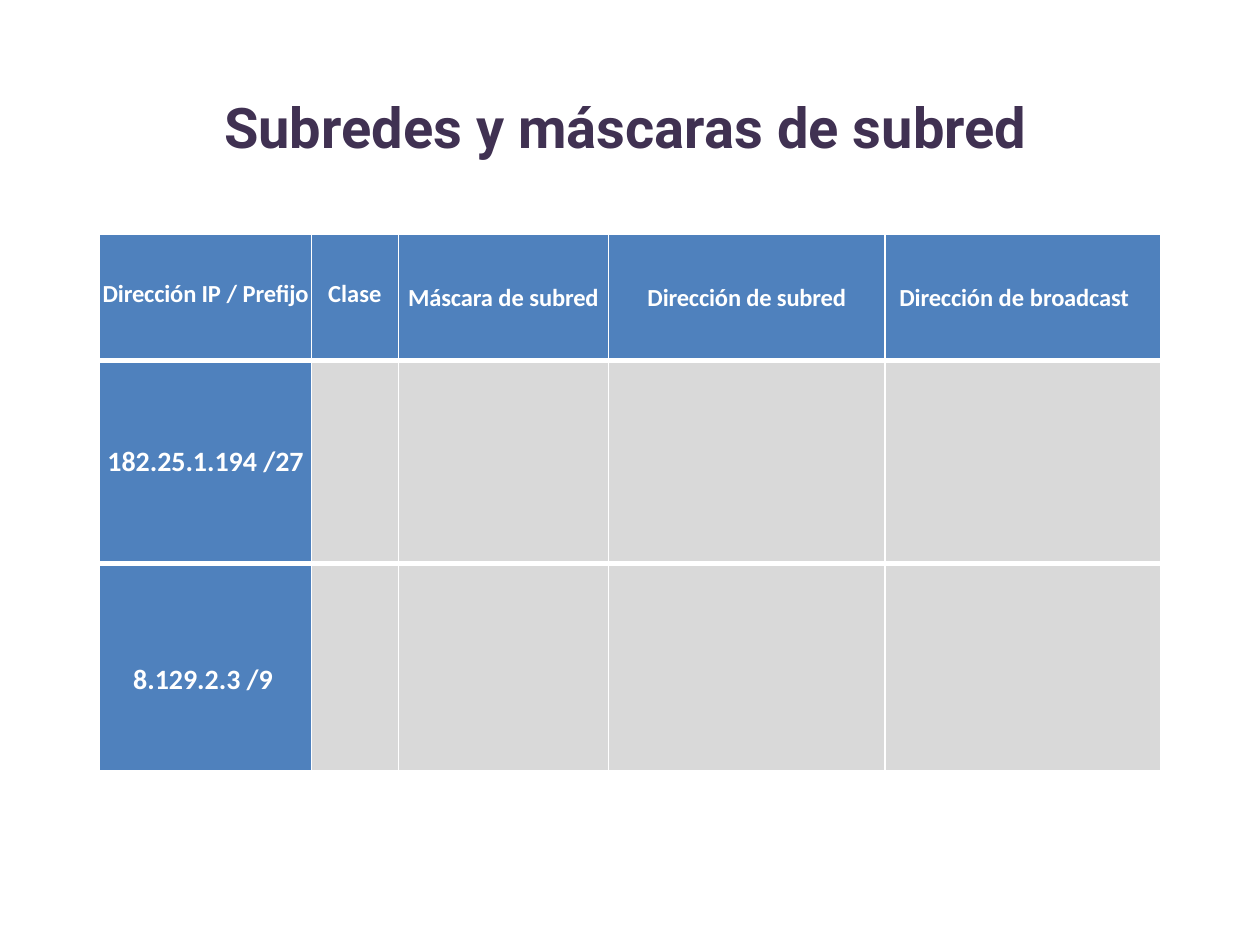
import lxml.etree
import pptx
import pptx.dml.color
import pptx.enum.text
import pptx.oxml.ns
import pptx.util
from pptx.util import Cm

BLUE, GREY, WHITE, PURPLE = "4F81BD", "D9D9D9", "FFFFFF", "403152"
MIDDLE = pptx.enum.text.MSO_ANCHOR.MIDDLE
CENTER = pptx.enum.text.PP_ALIGN.CENTER


def colour(value):
    return pptx.dml.color.RGBColor.from_string(value)


class SlideBuilder:
    """Holds the text style and the slide being built."""

    def __init__(self, page, font="Calibri"):
        self.page = page
        self.font = font

    def add_span(self, para, text, size, shade=WHITE, font=None, spacing=0):
        span = para.add_run()
        span.text = text
        span.font.name = font or self.font
        span.font.size = pptx.util.Pt(size)
        span.font.bold = True
        span.font.color.rgb = colour(shade)
        if spacing:
            span.font._element.set("spc", str(spacing))

    def add_title(self, text, left, top, width, height, indent):
        box = self.page.shapes.add_textbox(left, top, width, height)
        frame = box.text_frame
        frame.word_wrap = True
        frame.vertical_anchor = MIDDLE
        frame.margin_left = indent
        frame.margin_top = Cm(0.53)
        frame.margin_right = frame.margin_bottom = 0
        self.add_span(frame.paragraphs[0], text, 32, PURPLE, "Roboto")

    def add_grid(self, left, top, widths, heights):
        frame = self.page.shapes.add_table(
            len(heights), len(widths), left, top, sum(widths), sum(heights))
        table = frame.table
        table.horz_banding = False
        for column, width in zip(table.columns, widths):
            column.width = width
        for row, height in zip(table.rows, heights):
            row.height = height
        last = len(heights) - 1
        for r in range(len(heights)):
            for c in range(len(widths)):
                cell = table.cell(r, c)
                self.add_borders(cell, {"L": 1, "R": 1, "T": 3 if r else 1,
                                        "B": 3 if r < last else 1})
                cell.fill.solid()
                cell.fill.fore_color.rgb = colour(
                    BLUE if r == 0 or c == 0 else GREY)
                cell.vertical_anchor = MIDDLE
                cell.margin_left = cell.margin_right = 0
                cell.margin_top = cell.margin_bottom = 0
        return table

    def add_borders(self, cell, sides):
        properties = cell._tc.get_or_add_tcPr()
        qn = pptx.oxml.ns.qn
        for side, points in sides.items():
            line = lxml.etree.SubElement(properties, qn("a:ln" + side),
                                         w=str(pptx.util.Pt(points)))
            fill = lxml.etree.SubElement(line, qn("a:solidFill"))
            lxml.etree.SubElement(fill, qn("a:srgbClr"), val=WHITE)

    def fill_cell(self, cell, spans, size, line_height=None):
        para = cell.text_frame.paragraphs[0]
        para.alignment = CENTER
        if line_height:
            para.line_spacing = pptx.util.Pt(line_height)
        for text, spacing in spans:
            self.add_span(para, text, size, spacing=spacing)


def main():
    deck = pptx.Presentation()
    deck.slide_width, deck.slide_height = Cm(25.4), Cm(19.05)
    page = deck.slides.add_slide(deck.slide_layouts[6])
    builder = SlideBuilder(page)

    # Title
    builder.add_title("Subredes y máscaras de subred",
                      Cm(1.7), Cm(1.32), Cm(21.69), Cm(1.9), Cm(2.82))

    # Table grid
    table = builder.add_grid(Cm(2.01), Cm(4.73),
                             [Cm(w) for w in (4.27, 1.75, 4.24, 5.57, 5.57)],
                             [Cm(h) for h in (2.54, 4.09, 4.17)])

    # Header row: runs with their letter spacing, then the line height
    headers = [
        ([("Dirección IP", -10), (" / ", 0), ("Prefijo", -10)], 13.3),
        ([("Clase", 0)], 13.3),
        ([("Máscara ", -10), ("de ", 0), ("subred", -10)], None),
        ([("Dirección de subred", -10)], None),
        ([("Dirección", -10), (" de b", 0), ("roadcast", -10)], None),
    ]
    for column, (spans, line_height) in enumerate(headers):
        builder.fill_cell(table.cell(0, column), spans, 14, line_height)
    table.cell(0, 4).margin_right = Cm(0.36)

    # Addresses to solve
    for row, address in enumerate(("182.25.1.194 /27", "8.129.2.3 /9"), 1):
        builder.fill_cell(table.cell(row, 0), [(address, 0)], 16)
    table.cell(2, 0).margin_top = Cm(0.52)
    table.cell(2, 0).margin_right = Cm(0.1)

    deck.save("out.pptx")


if __name__ == "__main__":
    main()
